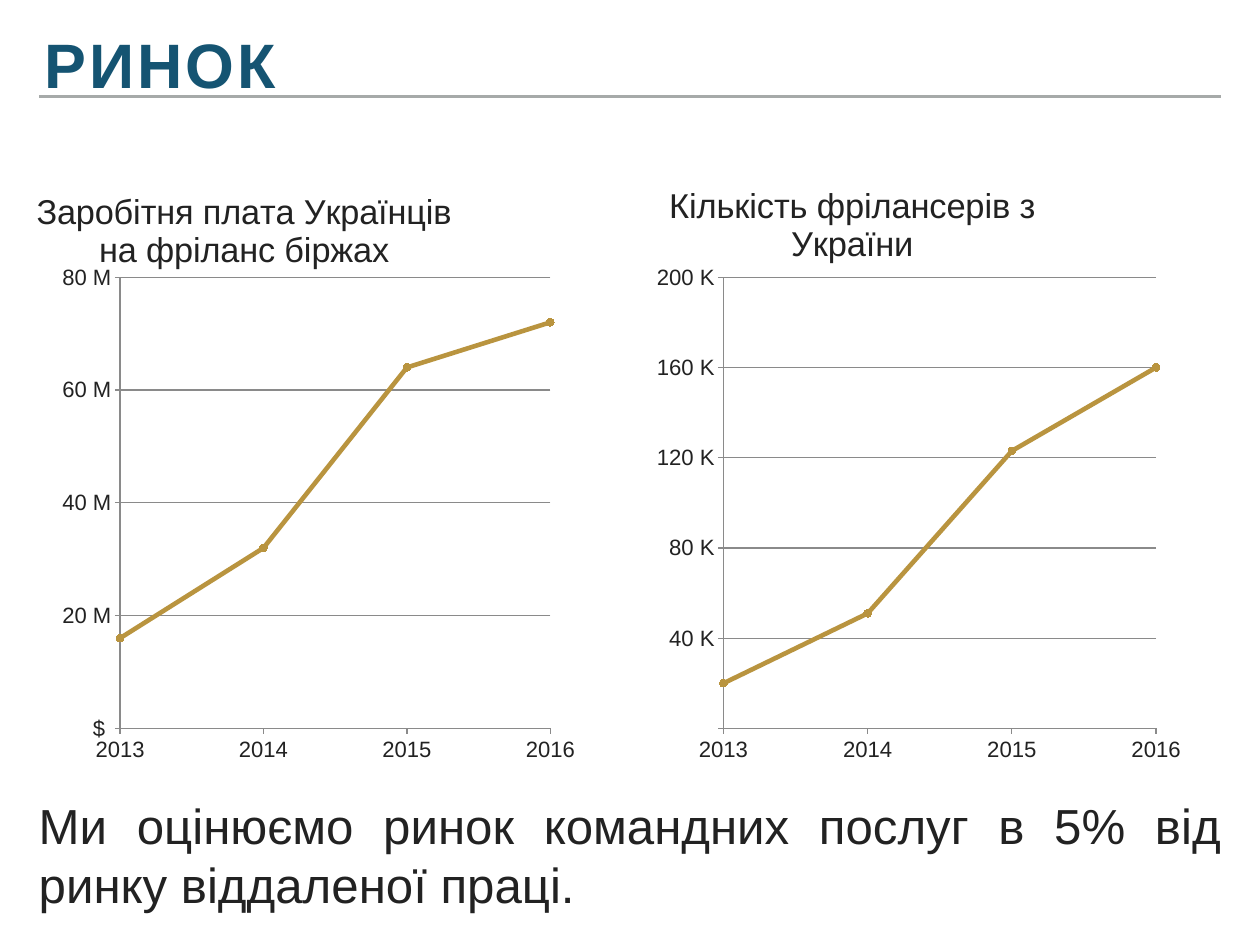
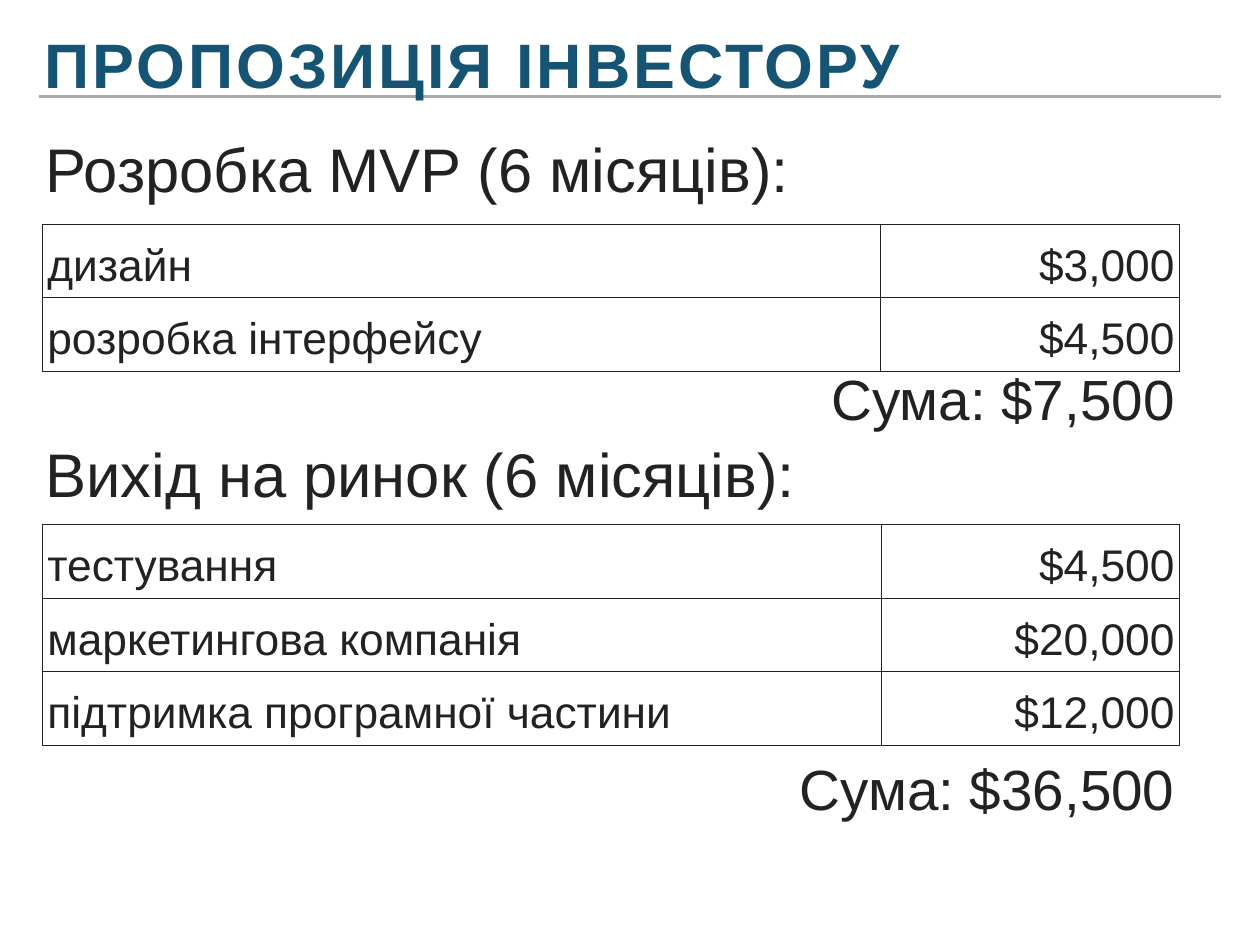
from dataclasses import dataclass

from lxml.etree import SubElement
from pptx import Presentation
from pptx.chart.data import CategoryChartData
from pptx.dml.color import RGBColor
from pptx.enum.chart import XL_CHART_TYPE, XL_MARKER_STYLE, XL_TICK_LABEL_POSITION, XL_TICK_MARK
from pptx.enum.shapes import MSO_CONNECTOR
from pptx.enum.text import MSO_ANCHOR, MSO_AUTO_SIZE, PP_ALIGN
from pptx.oxml.ns import qn
from pptx.util import Pt


@dataclass(frozen=True)
class Theme:
    font: str = "Arial"
    text: RGBColor = RGBColor(0x22, 0x22, 0x22)
    title: RGBColor = RGBColor(0x15, 0x54, 0x72)
    rule: RGBColor = RGBColor(0xA6, 0xAA, 0xA9)
    grid: RGBColor = RGBColor(0x8A, 0x8A, 0x8A)
    series: RGBColor = RGBColor(0xB9, 0x94, 0x3F)
    title_size: int = 51
    heading_size: int = 50
    sum_size: int = 46
    body_size: int = 40
    cell_size: int = 36
    chart_title_size: int = 28
    axis_size: int = 18
    inset: int = 4


THEME = Theme()


@dataclass(frozen=True)
class Box:
    left: float
    top: float
    width: float
    height: float

    def lengths(self):
        return Pt(self.left), Pt(self.top), Pt(self.width), Pt(self.height)


# Shared helpers
def style_font(font, size, color=THEME.text, bold=False):
    font.name = THEME.font
    font.size = Pt(size)
    font.bold = bold
    font.color.rgb = color


def style_line(line, color, width):
    line.color.rgb = color
    line.width = Pt(width)


def add_text(slide, box, text, size, color=THEME.text, bold=False,
             anchor=MSO_ANCHOR.MIDDLE, align=PP_ALIGN.LEFT, before=0):
    frame = slide.shapes.add_textbox(*box.lengths()).text_frame
    frame.word_wrap = True
    frame.auto_size = MSO_AUTO_SIZE.SHAPE_TO_FIT_TEXT
    frame.vertical_anchor = anchor
    frame.margin_left = frame.margin_right = Pt(THEME.inset)
    frame.margin_top = frame.margin_bottom = Pt(THEME.inset)
    paragraph = frame.paragraphs[0]
    paragraph.alignment = align
    paragraph.space_before = Pt(before)
    run = paragraph.add_run()
    run.text = text
    style_font(run.font, size, color, bold)
    return paragraph


def add_titled_slide(presentation, title):
    slide = presentation.slides.add_slide(presentation.slide_layouts[6])
    # Rule under the title
    rule = slide.shapes.add_connector(
        MSO_CONNECTOR.STRAIGHT, Pt(32), Pt(78.5), Pt(992), Pt(78.5))
    style_line(rule.line, THEME.rule, 2)
    SubElement(rule._element.spPr, qn("a:effectLst"))
    # Title with wide letter spacing
    paragraph = add_text(slide, Box(32, 20, 880, 65.5), title, THEME.title_size,
                         THEME.title, True, MSO_ANCHOR.BOTTOM)
    paragraph.line_spacing = 0.8
    paragraph.runs[0].font._element.set("spc", "250")
    return slide


# Charts
def set_layout(parent, position, **values):
    old = parent.find(qn("c:layout"))
    if old is not None:
        parent.remove(old)
    layout = SubElement(parent, qn("c:layout"))
    parent.insert(position, layout)
    manual = SubElement(layout, qn("c:manualLayout"))
    for name, value in values.items():
        SubElement(manual, qn(f"c:{name}")).set("val", str(value))


def style_axis(axis):
    style_font(axis.tick_labels.font, THEME.axis_size)
    style_line(axis.format.line, THEME.grid, 1)
    axis.major_tick_mark = XL_TICK_MARK.OUTSIDE
    axis.minor_tick_mark = XL_TICK_MARK.NONE


def add_line_chart(slide, box, title, title_at, plot_x, plot_width,
                   values, step, top_value, number_format):
    data = CategoryChartData()
    data.categories = ["2013", "2014", "2015", "2016"]
    data.add_series("Series 1", values)
    chart = slide.shapes.add_chart(
        XL_CHART_TYPE.LINE_MARKERS, *box.lengths(), data).chart
    chart.has_legend = False
    style_font(chart.font, 10)

    # Title and plot area
    chart.has_title = True
    run = chart.chart_title.text_frame.paragraphs[0].add_run()
    run.text = title
    style_font(run.font, THEME.chart_title_size)
    set_layout(chart.chart_title._element, 1, xMode="edge", yMode="edge",
               x=title_at[0], y=title_at[1])
    set_layout(chart._chartSpace.chart.plotArea, 0, layoutTarget="inner",
               xMode="edge", yMode="edge", x=plot_x, y=0.172,
               w=plot_width, h=0.748)

    # Axes
    style_axis(chart.category_axis)
    chart.category_axis.tick_label_position = XL_TICK_LABEL_POSITION.LOW
    axis = chart.value_axis
    style_axis(axis)
    axis.minimum_scale, axis.maximum_scale = 0, top_value
    axis.major_unit = step
    axis.tick_labels.number_format = number_format
    axis.tick_labels.number_format_is_linked = False
    axis.has_major_gridlines = True
    style_line(axis.major_gridlines.format.line, THEME.grid, 1)
    # The line starts on the value axis
    between = axis._element.find(qn("c:crossBetween"))
    if between is None:
        between = SubElement(axis._element, qn("c:crossBetween"))
        axis._element.find(qn("c:crosses")).addnext(between)
    between.set("val", "midCat")

    # Series
    chart.plots[0].vary_by_categories = False
    series = chart.plots[0].series[0]
    series.smooth = False
    style_line(series.format.line, THEME.series, 3.75)
    series.marker.style = XL_MARKER_STYLE.CIRCLE
    series.marker.size = 6
    series.marker.format.fill.solid()
    series.marker.format.fill.fore_color.rgb = THEME.series
    style_line(series.marker.format.line, THEME.series, 0.75)


# Budget tables
def style_cell(cell, text, align):
    cell.fill.background()
    cell.vertical_anchor = MSO_ANCHOR.MIDDLE
    cell.margin_left = cell.margin_right = Pt(THEME.inset)
    cell.margin_top = cell.margin_bottom = Pt(THEME.inset)
    paragraph = cell.text_frame.paragraphs[0]
    paragraph.alignment = align
    paragraph.line_spacing = 1.2
    paragraph.space_before = Pt(24)
    run = paragraph.add_run()
    run.text = text
    style_font(run.font, THEME.cell_size)
    # Borders come before the fill
    properties = cell._tc.get_or_add_tcPr()
    for position, side in enumerate(("lnL", "lnR", "lnT", "lnB")):
        border = SubElement(properties, qn(f"a:{side}"), w=str(Pt(1)))
        properties.insert(position, border)
        fill = SubElement(border, qn("a:solidFill"))
        SubElement(fill, qn("a:srgbClr"), val=str(THEME.text))


def add_budget(slide, box, heading, rows, total, table_gap, sum_gap, label_width):
    row_height = 59
    add_text(slide, Box(box.left, box.top, 836, 64), heading,
             THEME.heading_size, before=6)
    # Items and prices
    table_box = Box(box.left + 1.5, box.top + table_gap,
                    box.width - 1.5, row_height * len(rows))
    table = slide.shapes.add_table(len(rows), 2, *table_box.lengths()).table
    table.first_row = table.horz_banding = False
    table.columns[0].width = Pt(label_width)
    table.columns[1].width = Pt(table_box.width - label_width)
    for index, row in enumerate(rows):
        table.rows[index].height = Pt(row_height)
        for column, align in enumerate((PP_ALIGN.LEFT, PP_ALIGN.RIGHT)):
            style_cell(table.cell(index, column), row[column], align)
    # Total
    sum_width = 340
    sum_box = Box(box.left + box.width - sum_width,
                  table_box.top + table_box.height + sum_gap, sum_width, 60)
    add_text(slide, sum_box, total, THEME.sum_size, anchor=MSO_ANCHOR.TOP,
             align=PP_ALIGN.RIGHT, before=6)


# Slides
def build_market(presentation):
    slide = add_titled_slide(presentation, "РИНОК")
    add_line_chart(
        slide, Box(15.8, 141, 452.2, 490.3),
        "Заробiтня плата Украïнцiв на фрiланс бiржах", (0.015, 0.017), 0.177, 0.777,
        (16000000, 32000000, 64000000, 72000000), 20000000, 80000000,
        '[>1000000]??,???,," ""M";[$$]" "#,###.##')
    add_line_chart(
        slide, Box(521.3, 141, 438.5, 490.3),
        "Кiлькiсть фрiлансерiв з Украïни", (0.04, 0.007), 0.152, 0.802,
        (20000, 51000, 123000, 160000), 40000, 200000,
        '[>1000]#,###," ""K";#,###')
    add_text(slide, Box(27.5, 646, 969, 96.5),
             "Ми оцінюємо ринок командних послуг в 5% від ринку віддаленої праці.",
             THEME.body_size, align=PP_ALIGN.JUSTIFY, before=24)


def build_offer(presentation):
    slide = add_titled_slide(presentation, "ПРОПОЗИЦІЯ ІНВЕСТОРУ")
    add_budget(slide, Box(33, 104.5, 925.5, 247), "Розробка MVP (6 місяців):",
               (("дизайн", "$3,000"), ("розробка інтерфейсу", "$4,500")),
               "Сума: $7,500", 77.7, -8.6, 681)
    add_budget(slide, Box(33, 352, 925.5, 316), "Вихід на ринок (6 місяців):",
               (("тестування", "$4,500"), ("маркетингова компанія", "$20,000"),
                ("підтримка програмної частини", "$12,000")),
               "Сума: $36,500", 74.2, 5.2, 682)


def main():
    presentation = Presentation()
    presentation.slide_width, presentation.slide_height = Pt(1024), Pt(768)
    build_market(presentation)
    build_offer(presentation)
    presentation.save("out.pptx")


if __name__ == "__main__":
    main()
